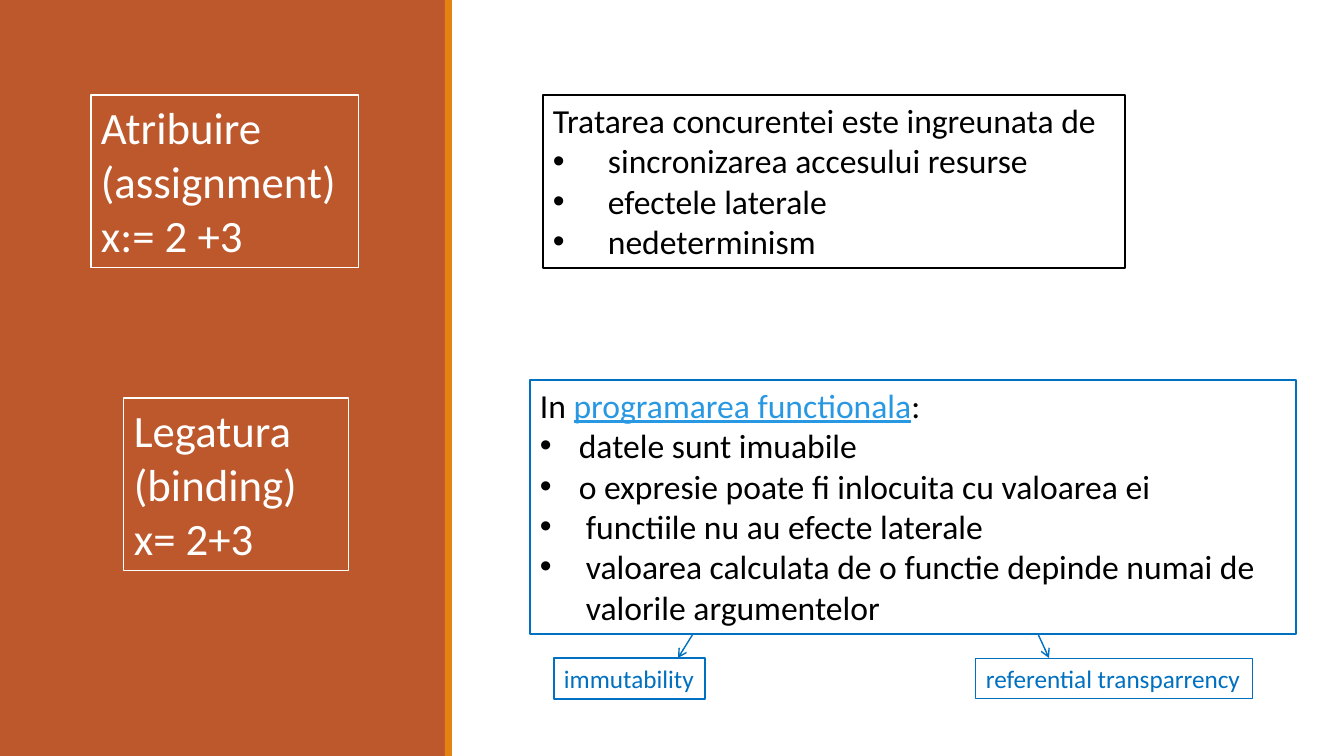
"""Build a slide that contrasts assignment with binding in functional programming."""
from dataclasses import dataclass

from lxml.etree import SubElement
from pptx import Presentation
from pptx.dml.color import RGBColor
from pptx.enum.shapes import MSO_CONNECTOR, MSO_SHAPE
from pptx.enum.text import MSO_ANCHOR, PP_ALIGN
from pptx.oxml.ns import qn
from pptx.util import Pt

EMU_PER_PX = 914400 / 100.8


@dataclass(frozen=True)
class Theme:
    font: str = "Calibri"
    rust: str = "BD582C"
    orange: str = "E48312"
    white: str = "FFFFFF"
    black: str = "000000"
    blue: str = "0070C0"
    link: str = "2998E3"
    term_size: int = 32
    body_size: int = 24
    label_size: int = 18
    thin: float = 0.75
    arrow: float = 1
    thick: float = 1.25


@dataclass(frozen=True)
class Item:
    text: str
    indent: int = 0
    bullet: bool = True


THEME = Theme()


def px(length):
    return round(length * EMU_PER_PX)


def rgb(colour):
    return RGBColor.from_string(colour)


def add_band(slide, left, width, colour):
    band = slide.shapes.add_shape(MSO_SHAPE.RECTANGLE, px(left), 0, px(width), px(756))
    band.shadow.inherit = False
    band.fill.solid()
    band.fill.fore_color.rgb = rgb(colour)
    band.line.fill.background()


def add_bullet(paragraph, indent, bullet):
    properties = paragraph._p.get_or_add_pPr()
    properties.set("marL", str(px(indent)))
    properties.set("indent", str(-px(indent) if bullet else 0))
    if bullet:
        SubElement(properties, qn("a:buFont"), typeface="Arial")
        SubElement(properties, qn("a:buChar"), char="•")


def add_box(slide, bounds, items, size, colour, outline, weight, fill=None, wrap=True):
    box = slide.shapes.add_shape(MSO_SHAPE.RECTANGLE, *map(px, bounds))
    box.shadow.inherit = False
    if fill:
        box.fill.solid()
        box.fill.fore_color.rgb = rgb(fill)
    else:
        box.fill.background()
    box.line.color.rgb = rgb(outline)
    box.line.width = Pt(weight)
    frame = box.text_frame
    frame.word_wrap = wrap
    frame.vertical_anchor = MSO_ANCHOR.TOP
    for index, item in enumerate(items):
        paragraph = frame.paragraphs[0] if index == 0 else frame.add_paragraph()
        paragraph.alignment = PP_ALIGN.LEFT
        if item.indent:
            add_bullet(paragraph, item.indent, item.bullet)
        paragraph.font.name = THEME.font
        paragraph.font.size = Pt(size)
        paragraph.font.color.rgb = rgb(colour)
        for position, part in enumerate(item.text.split("|")):
            run = paragraph.add_run()
            run.text = part
            if position % 2:
                run.font.color.rgb = rgb(THEME.link)
                run.font.underline = True


def add_term(slide, bounds, lines):
    add_box(slide, bounds, [Item(line) for line in lines], THEME.term_size,
            THEME.white, THEME.white, THEME.thin, wrap=False)


def add_statement(slide, bounds, items, outline):
    add_box(slide, bounds, items, THEME.body_size, THEME.black, outline,
            THEME.thick, fill=THEME.white)


def add_label(slide, bounds, text, weight):
    add_box(slide, bounds, [Item(text)], THEME.label_size, THEME.blue, THEME.blue,
            weight, fill=THEME.white, wrap=False)


def add_arrow(slide, start, end):
    arrow = slide.shapes.add_connector(MSO_CONNECTOR.STRAIGHT, *map(px, start + end))
    arrow.line.color.rgb = rgb(THEME.blue)
    arrow.line.width = Pt(THEME.arrow)
    SubElement(arrow.line._get_or_add_ln(), qn("a:tailEnd"), type="arrow")
    SubElement(arrow._element.spPr, qn("a:effectLst"))


def main():
    presentation = Presentation()
    presentation.slide_width = px(1344)
    presentation.slide_height = px(756)
    slide = presentation.slides.add_slide(presentation.slide_layouts[6])

    add_band(slide, 0, 446, THEME.rust)
    add_band(slide, 445, 7, THEME.orange)

    add_statement(slide, (543, 95, 582, 173), [
        Item("Tratarea concurentei este ingreunata de"),
        Item("sincronizarea accesului resurse", 55),
        Item("efectele laterale", 55),
        Item("nedeterminism", 55),
    ], THEME.black)
    add_statement(slide, (530, 380, 766, 254), [
        Item("In |programarea functionala|:"),
        Item("datele sunt imuabile", 39),
        Item("o expresie poate fi inlocuita cu valoarea ei", 39),
        Item("functiile nu au efecte laterale", 46),
        Item("valoarea calculata de o functie depinde numai de", 46),
        Item("valorile argumentelor", 46, bullet=False),
    ], THEME.blue)

    add_term(slide, (91, 95, 268, 173), ["Atribuire", "(assignment)", "x:= 2 +3"])
    add_term(slide, (124, 398, 225, 173), ["Legatura", "(binding)", "x= 2+3"])

    add_label(slide, (554, 658, 151, 41), "immutability", THEME.thick)
    add_label(slide, (976, 658, 277, 41), "referential transparrency", THEME.thin)
    add_arrow(slide, (693, 634), (678, 658))
    add_arrow(slide, (1038, 634), (1049, 658))

    presentation.save("out.pptx")


if __name__ == "__main__":
    main()
